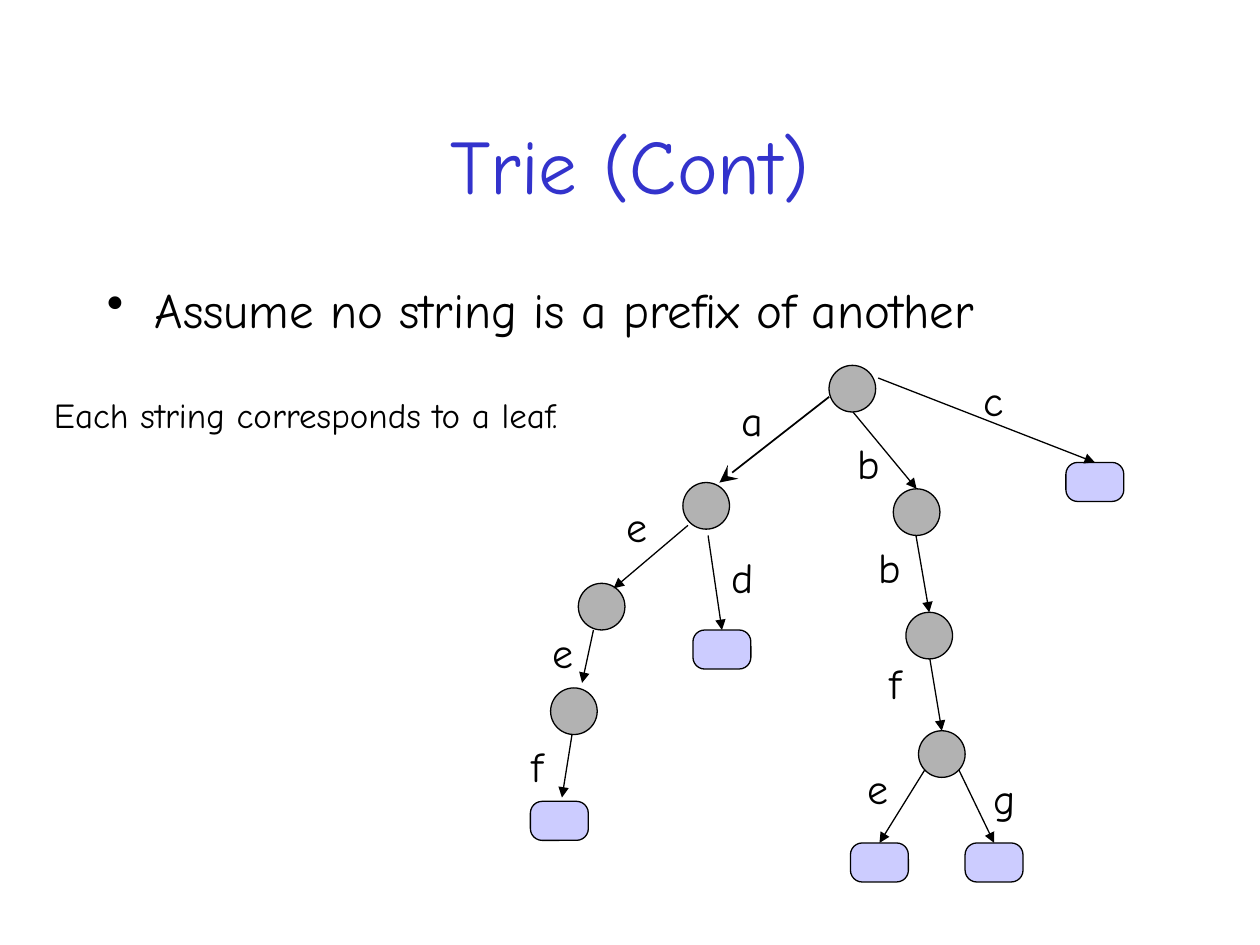
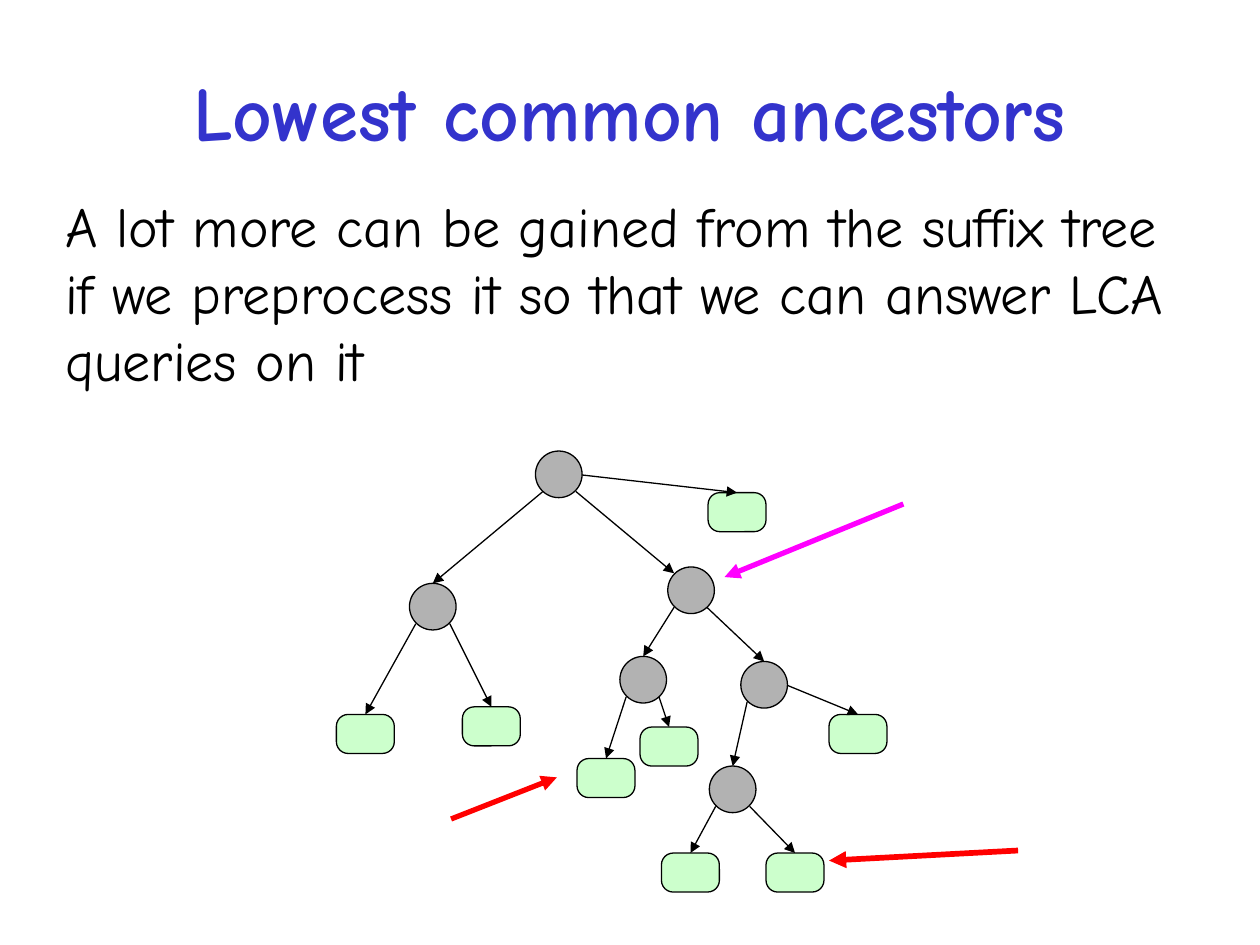
"""Two slides on tries and lowest common ancestors."""
from lxml import etree
from pptx import Presentation
from pptx.dml.color import RGBColor
from pptx.enum.shapes import MSO_CONNECTOR, MSO_SHAPE
from pptx.enum.text import MSO_ANCHOR, PP_ALIGN
from pptx.oxml.ns import qn
from pptx.util import Pt

PX = 9144
BLACK = RGBColor(0, 0, 0)
BLUE = RGBColor(0x33, 0x33, 0xCC)
GRAY = RGBColor(0xB2, 0xB2, 0xB2)
LILAC = RGBColor(0xCC, 0xCC, 0xFF)
MINT = RGBColor(0xCC, 0xFF, 0xCC)
RED = RGBColor(0xFF, 0, 0)
PINK = RGBColor(0xFF, 0, 0xFF)
OVAL = MSO_SHAPE.OVAL
ROUND = MSO_SHAPE.ROUNDED_RECTANGLE
LINE = MSO_CONNECTOR.STRAIGHT
TOP, MIDDLE = MSO_ANCHOR.TOP, MSO_ANCHOR.MIDDLE
LEFT, CENTER = PP_ALIGN.LEFT, PP_ALIGN.CENTER

# Child position, start of its edge, free end of the edge, label and its place.
TRIE = [
    ("node", 542, 383, 658, 315, (571, 383), "a", 579, 308),
    ("node", 709, 388, 677, 327, None, "b", 671, 342),
    ("leaf", 846, 367, 697, 300, None, "c", 771, 292),
    ("node", 459, 463, 546, 417, (487, 467), "e", 487, 392),
    ("leaf", 550, 500, 562, 425, None, "d", 571, 433),
    ("node", 437, 546, 471, 500, (462, 542), "e", 429, 492),
    ("leaf", 421, 636, 454, 583, (446, 633), "f", 412, 583),
    ("node", 719, 486, 727, 425, None, "b", 687, 425),
    ("node", 729, 580, 738, 523, None, "f", 696, 517),
    ("leaf", 675, 669, 734, 611, None, "e", 679, 600),
    ("leaf", 766, 669, 761, 611, None, "g", 779, 608),
]
SUFFIX = [
    ("node", 325, 463, 431, 390, None),
    ("node", 530, 450, 457, 390, (535, 455)),
    ("leaf", 562, 391, 462, 377, None),
    ("leaf", 267, 567, 330, 495, None),
    ("leaf", 367, 561, 357, 495, None),
    ("node", 492, 521, 535, 482, None),
    ("node", 588, 525, 561, 482, None),
    ("leaf", 458, 602, 497, 553, None),
    ("leaf", 508, 577, 523, 553, None),
    ("node", 563, 608, 593, 557, None),
    ("leaf", 658, 567, 625, 544, None),
    ("leaf", 525, 677, 568, 640, None),
    ("leaf", 608, 677, 595, 640, None),
]


class Deck:
    """Holds the shared style and the current slide."""

    font = "Comic Neue"

    def __init__(self):
        self.file = Presentation()
        self.file.slide_width = 1000 * PX
        self.file.slide_height = 750 * PX

    def start(self, title, top, tint, bold=False):
        """Open a slide with its title and leaf colour."""
        self.slide = self.file.slides.add_slide(self.file.slide_layouts[6])
        self.tint = tint
        self.text(title, 75, top, 850, 125, 44, BLUE, bold, CENTER, MIDDLE)

    def text(self, words, x, y, w, h, size, color=BLACK, bold=False,
             align=LEFT, anchor=TOP, bullet=False):
        """Add a wrapped text box of one paragraph."""
        box = self.slide.shapes.add_textbox(x * PX, y * PX, w * PX, h * PX)
        frame = box.text_frame
        frame.word_wrap = True
        frame.vertical_anchor = anchor
        frame.text = words
        para = frame.paragraphs[0]
        para.alignment = align
        if bullet:
            props = para._p.get_or_add_pPr()
            props.set("marL", str(38 * PX))
            props.set("indent", str(-38 * PX))
            etree.SubElement(props, qn("a:buChar")).set("char", "•")
        font = para.runs[0].font
        font.name, font.size, font.bold = self.font, Pt(size), bold
        font.color.rgb = color

    def shape(self, kind, x, y, w, h, fill):
        """Add an outlined shape."""
        item = self.slide.shapes.add_shape(kind, x * PX, y * PX, w * PX, h * PX)
        item.shadow.inherit = False
        item.fill.solid()
        item.fill.fore_color.rgb = fill
        item.line.color.rgb = BLACK
        item.line.width = Pt(0.75)
        return item

    def node(self, x, y):
        """Add an inner node of a tree."""
        return self.shape(OVAL, x, y, 37, 37, GRAY)

    def leaf(self, x, y):
        """Add a leaf of a tree."""
        item = self.shape(ROUND, x, y, 46, 31, self.tint)
        item.adjustments[0] = 0.3
        return item

    def arrow(self, x1, y1, x2, y2, color=BLACK, width=0.75,
              head="triangle", size="med"):
        """Add a straight arrow."""
        line = self.slide.shapes.add_connector(
            LINE, x1 * PX, y1 * PX, x2 * PX, y2 * PX)
        line.line.color.rgb = color
        line.line.width = Pt(width)
        tip = etree.SubElement(line.line._get_or_add_ln(), qn("a:tailEnd"))
        tip.set("type", head)
        tip.set("w", size)
        tip.set("len", size)
        etree.SubElement(line._element.spPr, qn("a:effectLst"))
        return line

    def branch(self, kind, x, y, x1, y1, end, label="", tx=0, ty=0):
        """Add a child, the edge to it and the edge's label."""
        child = self.node(x, y) if kind == "node" else self.leaf(x, y)
        if label == "a":
            self.arrow(x1, y1, *end, width=1, head="stealth", size="lg")
        elif end:
            self.arrow(x1, y1, *end)
        else:
            self.arrow(x1, y1, x, y).end_connect(child, 0)
        if label:
            self.text(label, tx, ty, 42, 50, 24)

    def tree(self, x, y, rows):
        """Add a root and all branches below it."""
        self.node(x, y)
        for row in rows:
            self.branch(*row)


def main():
    """Build and save both slides."""
    deck = Deck()
    deck.start("Trie (Cont)", 67, LILAC)
    deck.text("Assume no string is a prefix of another",
              75, 217, 850, 68, 28, bullet=True)
    deck.tree(658, 290, TRIE)
    deck.text("Each string corresponds to a leaf.", 33, 307, 450, 44, 20)

    deck.start("Lowest common ancestors", 25, MINT, bold=True)
    deck.text("A lot more can be gained from the suffix tree if we preprocess "
              "it so that we can answer LCA queries on it",
              42, 147, 917, 170, 32)
    deck.tree(425, 358, SUFFIX)
    deck.arrow(808, 675, 658, 683, RED, 3.25)
    deck.arrow(358, 650, 442, 617, RED, 3)
    deck.arrow(717, 400, 575, 458, PINK, 3)
    deck.file.save("out.pptx")


if __name__ == "__main__":
    main()
